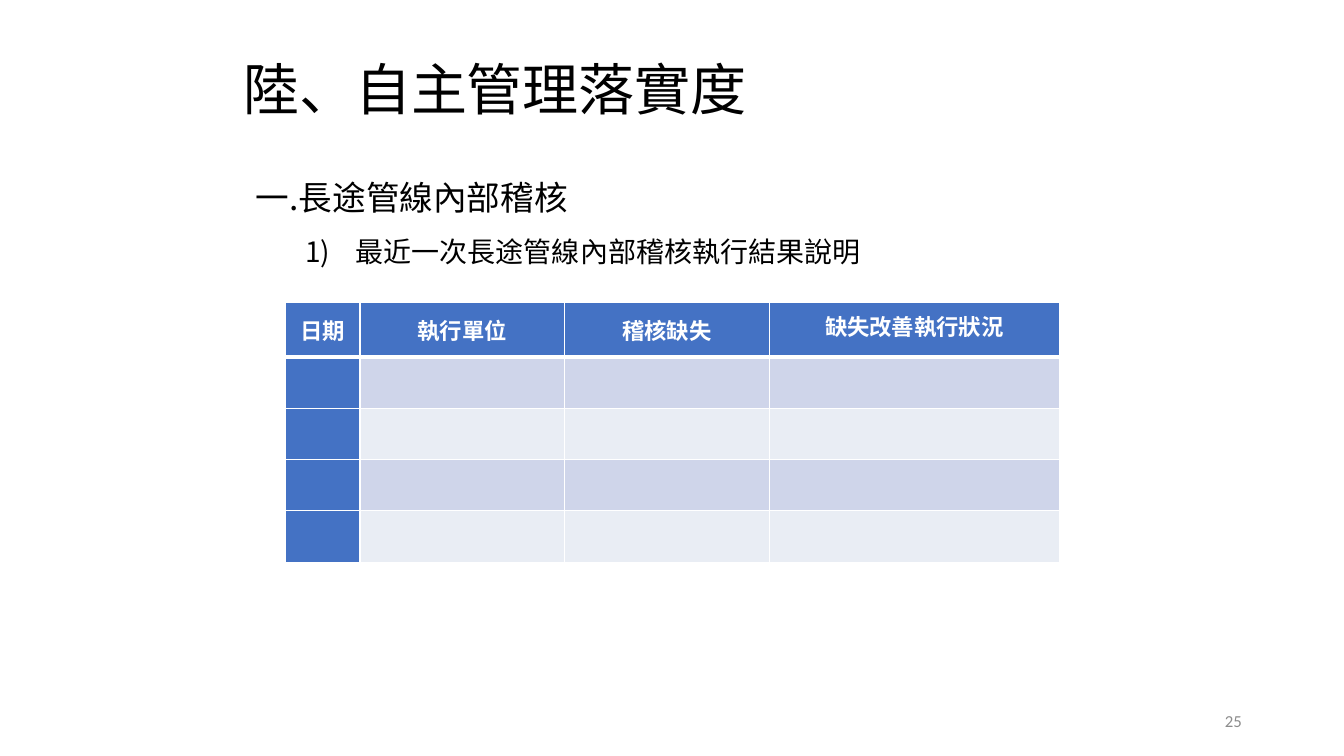
"""Builds the slide on self-management with its audit results table."""
from dataclasses import dataclass

from lxml.etree import SubElement
from pptx import Presentation
from pptx.dml.color import RGBColor as RGB
from pptx.enum.text import MSO_ANCHOR as Anchor, MSO_AUTO_SIZE as AutoSize, PP_ALIGN as Align
from pptx.oxml.ns import qn
from pptx.util import Pt


@dataclass(frozen=True)
class Theme:
    cjk: str = "Noto Sans CJK SC"
    latin: str = "Calibri"
    ink: str = "000000"
    white: str = "FFFFFF"
    muted: str = "8C8C8C"
    header: str = "4472C4"
    bands: tuple = ("CFD5EA", "E9EDF4")
    title: int = 40
    heading: int = 24
    item: int = 20
    label: int = 16
    number: int = 12


theme = Theme()


def style(paragraph, size, color, name=theme.cjk, bold=False):
    font = paragraph.font
    font.size, font.bold, font.name = Pt(size), bold, name
    font.color.rgb = RGB.from_string(color)
    properties = paragraph._p.pPr.find(qn("a:defRPr"))
    SubElement(properties, qn("a:ea")).set("typeface", name)
    return properties


def add_border(cell, side, width):
    line = SubElement(cell._tc.get_or_add_tcPr(), qn(f"a:ln{side}"), w=str(Pt(width)))
    fill = SubElement(line, qn("a:solidFill"))
    SubElement(fill, qn("a:srgbClr"), val=theme.white)


deck = Presentation()
deck.slide_width, deck.slide_height = Pt(960), Pt(540)
page = deck.slides.add_slide(deck.slide_layouts[5])

title = page.shapes.title
title.left, title.top, title.width, title.height = Pt(174.2), Pt(43.9), Pt(549.4), Pt(43.9)
frame = title.text_frame
frame.margin_left = frame.margin_top = frame.margin_right = frame.margin_bottom = 0
frame.vertical_anchor = Anchor.MIDDLE
frame.auto_size = AutoSize.SHAPE_TO_FIT_TEXT
para = frame.paragraphs[0]
para.text = "陸、自主管理落實度"
para.alignment = Align.LEFT
para.line_spacing = 0.9
style(para, theme.title, theme.ink).set("spc", "-10")

number_box = page.shapes.add_textbox(Pt(678.2), Pt(500.4), Pt(216), Pt(28.8))
frame = number_box.text_frame
frame.word_wrap = True
frame.vertical_anchor = Anchor.MIDDLE
para = frame.paragraphs[0]
para.text = "25"
para.alignment = Align.RIGHT
style(para, theme.number, theme.muted, theme.latin)

outline_box = page.shapes.add_textbox(Pt(175.7), Pt(110.2), Pt(594), Pt(82.8))
frame = outline_box.text_frame
frame.word_wrap = True
frame.vertical_anchor = Anchor.MIDDLE
frame.auto_size = AutoSize.SHAPE_TO_FIT_TEXT
heading, item = frame.paragraphs[0], frame.add_paragraph()
heading.text = "一.長途管線內部稽核"
item.text = "最近一次長途管線內部稽核執行結果說明"
properties = item._p.get_or_add_pPr()
properties.set("marL", str(Pt(71.3)))
properties.set("indent", str(Pt(-36)))
SubElement(properties, qn("a:buFont"), typeface=theme.cjk)
SubElement(properties, qn("a:buAutoNum"), type="arabicParenR")
for para, size in ((heading, theme.heading), (item, theme.item)):
    para.line_spacing = 1.5
    style(para, size, theme.ink)

labels = ["日期", "執行單位", "稽核缺失", "缺失改善執行狀況"]
widths = [53.3, 146.2, 146.2, 207.4]
heights = [38.9] + [36.7] * 4
table = page.shapes.add_table(len(heights), len(widths), Pt(203.8), Pt(216),
                              Pt(sum(widths)), Pt(sum(heights))).table
for column, width in zip(table.columns, widths):
    column.width = Pt(width)
for row_index, (row, height) in enumerate(zip(table.rows, heights)):
    row.height = Pt(height)
    for column_index, cell in enumerate(row.cells):
        for side in "LRTB":
            under_header = (row_index, side) in ((0, "B"), (1, "T"))
            add_border(cell, side, 3 if under_header else 1)
        is_header = row_index == 0 or column_index == 0
        color = theme.header if is_header else theme.bands[(row_index - 1) % 2]
        cell.fill.solid()
        cell.fill.fore_color.rgb = RGB.from_string(color)

for cell, label in zip(table.rows[0].cells, labels):
    cell.vertical_anchor = Anchor.MIDDLE
    cell.margin_left = cell.margin_right = Pt(5)
    cell.margin_top = cell.margin_bottom = 0
    para = cell.text_frame.paragraphs[0]
    para.text = label
    para.alignment = Align.CENTER
    style(para, theme.label, theme.white, bold=True)
para.line_spacing = Pt(18)

deck.save("out.pptx")
